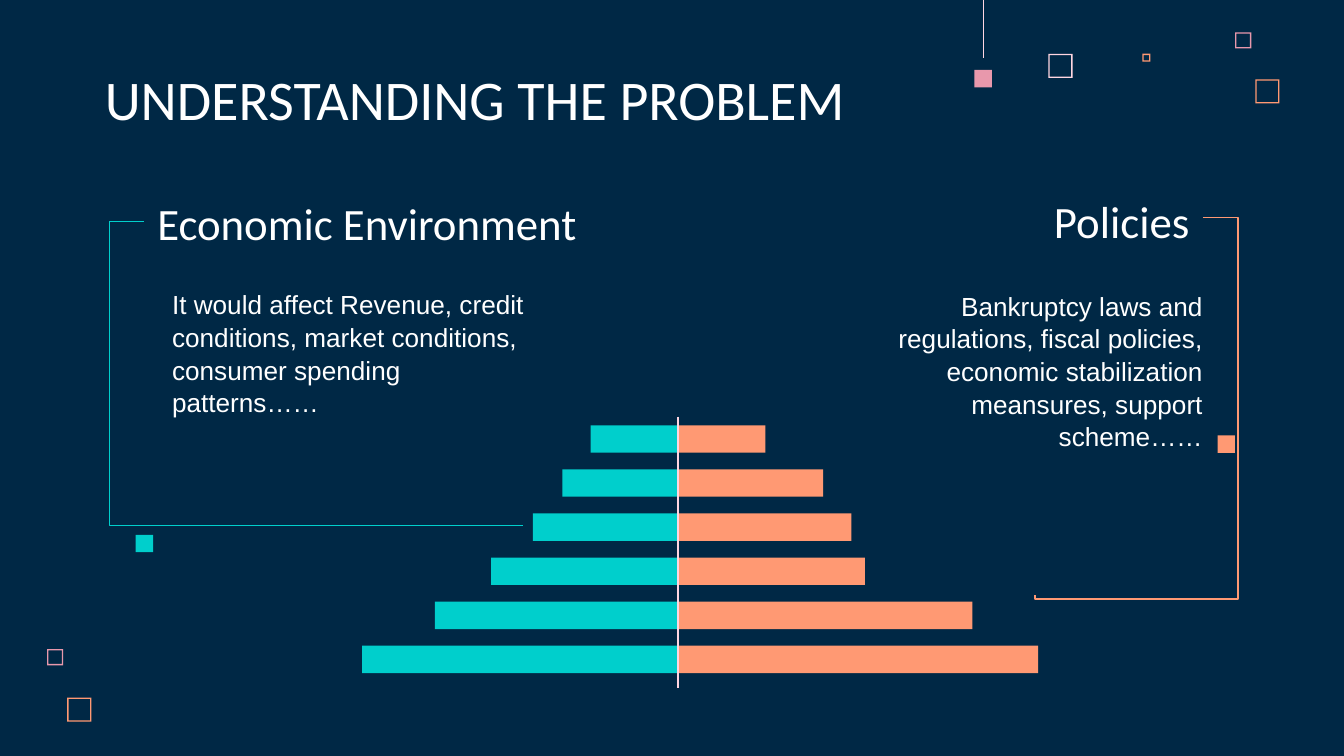
from lxml import etree
from pptx import Presentation
from pptx.dml.color import RGBColor
from pptx.enum.shapes import MSO_CONNECTOR, MSO_SHAPE
from pptx.enum.text import MSO_ANCHOR, MSO_AUTO_SIZE, PP_ALIGN
from pptx.oxml.ns import qn
from pptx.util import Inches, Pt

LEFT, RIGHT = PP_ALIGN.LEFT, PP_ALIGN.RIGHT
TOP, BOTTOM = MSO_ANCHOR.TOP, MSO_ANCHOR.BOTTOM
NO_AUTOFIT = MSO_AUTO_SIZE.NONE
STRAIGHT, ELBOW = MSO_CONNECTOR.STRAIGHT, MSO_CONNECTOR.ELBOW
RECTANGLE, FRAME = MSO_SHAPE.RECTANGLE, MSO_SHAPE.FRAME

COLORS = {
    "navy": "002845",
    "white": "FFFFFF",
    "teal": "00CFCC",
    "orange": "FF9973",
    "pink": "E898AC",
    "blush": "FFD6E1",
}
COLUMNS, ROWS = 100, 56.25
COMPARISON_LAYOUT = 3 + 1


class SlideBuilder:
    """Draws styled elements on a slide, measured in grid columns and rows."""

    def __init__(self, deck):
        """Adds a comparison slide with a plain background."""
        self.cell_width = deck.slide_width / COLUMNS
        self.cell_height = deck.slide_height / ROWS
        self.page = deck.slides.add_slide(deck.slide_layouts[COMPARISON_LAYOUT])
        self.slots = list(self.page.placeholders)
        background = self.page.background.fill
        background.solid()
        background.fore_color.rgb = self.color("navy")

    def color(self, name):
        """Looks up a named colour."""
        return RGBColor.from_string(COLORS[name])

    def place(self, *area):
        """Turns columns and rows, in alternation, into slide lengths."""
        units = (self.cell_width, self.cell_height)
        return [round(value * units[index % 2]) for index, value in enumerate(area)]

    def text(self, slot, words, area, size, font="Calibri", align=LEFT,
             anchor=BOTTOM, spacing=1.0):
        """Moves a placeholder and writes one formatted paragraph in it."""
        box = self.slots[slot]
        box.left, box.top, box.width, box.height = self.place(*area)
        frame = box.text_frame
        frame.word_wrap = True
        frame.auto_size = NO_AUTOFIT
        frame.vertical_anchor = anchor
        frame.margin_left = frame.margin_right = Inches(0.1)
        frame.margin_top = frame.margin_bottom = Inches(0.1)
        para = frame.paragraphs[0]
        para.alignment = align
        para.line_spacing = spacing
        para.space_before = Pt(0)
        properties = para._p.get_or_add_pPr()
        properties.set("marL", "0")
        properties.set("indent", "0")
        etree.SubElement(properties, qn("a:buNone"))
        span = para.add_run()
        span.text = words
        span.font.name = font
        span.font.size = Pt(size)
        span.font.bold = False
        span.font.color.rgb = self.color("white")

    def block(self, area, color, kind=RECTANGLE):
        """Adds a filled shape without an outline."""
        shape = self.page.shapes.add_shape(kind, *self.place(*area))
        shape.shadow.inherit = False
        shape.fill.solid()
        shape.fill.fore_color.rgb = self.color(color)
        shape.line.fill.background()
        return shape

    def hollow_square(self, left, top, side, color):
        """Adds a thin square frame."""
        square = self.block((left, top, side, side), color, FRAME)
        square.adjustments[0] = 0.1 / side

    def line(self, ends, color, bends=(), width=0.75):
        """Adds a straight connector, or an elbow bent at the given shares."""
        kind = ELBOW if bends else STRAIGHT
        connector = self.page.shapes.add_connector(kind, *self.place(*ends))
        connector.line.color.rgb = self.color(color)
        connector.line.width = Pt(width)
        properties = connector._element.spPr
        etree.SubElement(properties, qn("a:effectLst"))
        if bends:
            geometry = properties.find(qn("a:prstGeom"))
            geometry.set("prst", f"bentConnector{len(bends) + 2}")
            guides = geometry.find(qn("a:avLst"))
            for number, share in enumerate(bends, 1):
                etree.SubElement(guides, qn("a:gd"), name=f"adj{number}",
                                 fmla=f"val {round(share * 100000)}")

    def pyramid(self, axis, top, pitch, height, left_bars, right_bars):
        """Adds mirrored bars on both sides of a vertical axis."""
        for row, (left, right) in enumerate(zip(left_bars, right_bars)):
            y = top + row * pitch
            self.block((axis, y, right, height), "orange")
            self.block((axis - left, y, left, height), "teal")
        self.line((axis, 31, axis, 51.2), "blush")


def main():
    """Builds and saves the deck."""
    deck = Presentation()
    deck.slide_width, deck.slide_height = Inches(10), Inches(5.625)
    slide = SlideBuilder(deck)

    for square in (
        (78, 4, 1.8, "blush"),
        (91.9, 2.4, 1.2, "pink"),
        (85, 4, 0.6, "orange"),
        (93.4, 5.9, 1.8, "orange"),
        (3.5, 48.3, 1.2, "pink"),
        (5, 51.9, 1.8, "orange"),
    ):
        slide.hollow_square(*square)
    slide.line((73.2, 0, 73.2, 4.3), "blush", width=0.5)

    slide.text(0, "UNDERSTANDING THE PROBLEM", (6.8, 4.5, 67.3, 6.3), 30)
    slide.text(1, "Economic Environment", (10.7, 13.3, 36.7, 6.3), 24)
    slide.text(2, "It would affect Revenue, credit conditions, market conditions, "
               "consumer spending patterns……", (11.8, 20.4, 28.7, 12.2), 14,
               "Arial", anchor=TOP, spacing=1.04)
    slide.text(3, "Policies", (77.1, 13.1, 12.4, 6.3), 24, align=RIGHT)
    slide.text(4, "Bankruptcy laws and regulations, fiscal policies, economic "
               "stabilization meansures, support scheme……",
               (60.6, 20.5, 29.9, 12.2), 14, "Arial", RIGHT, TOP, 1.04)

    slide.pyramid(50.45, 31.65, 3.28, 2.04,
                  (6.5, 8.6, 10.8, 13.9, 18.1, 23.5),
                  (6.5, 10.8, 12.9, 13.9, 21.9, 26.8))
    slide.line((10.7, 16.5, 38.9, 39.1), "teal", (-0.09,))
    slide.line((89.5, 16.2, 77, 44.3), "orange", (-0.21, 1.01))

    for left, top, color in ((72.5, 5.2, "pink"), (10.1, 39.8, "teal"),
                             (90.6, 32.4, "orange")):
        slide.block((left, top, 1.3, 1.3), color)

    deck.save("out.pptx")


if __name__ == "__main__":
    main()
